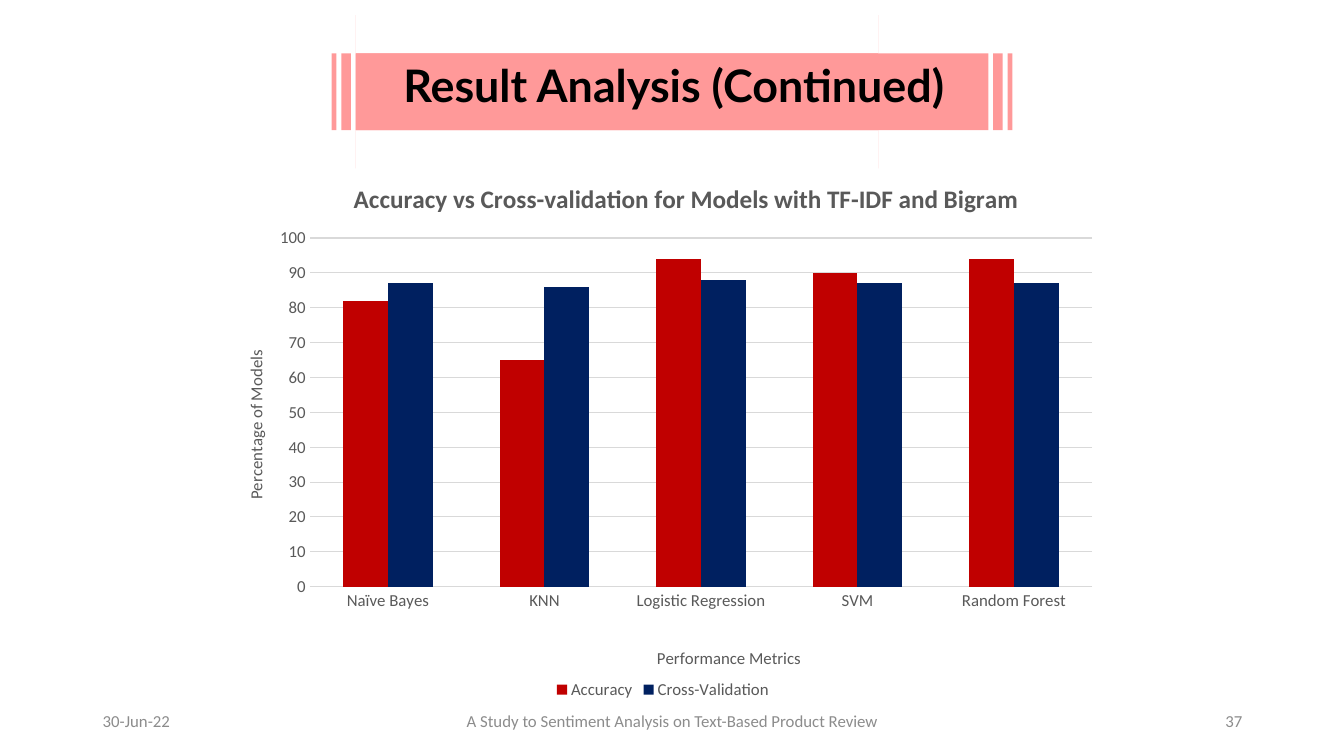
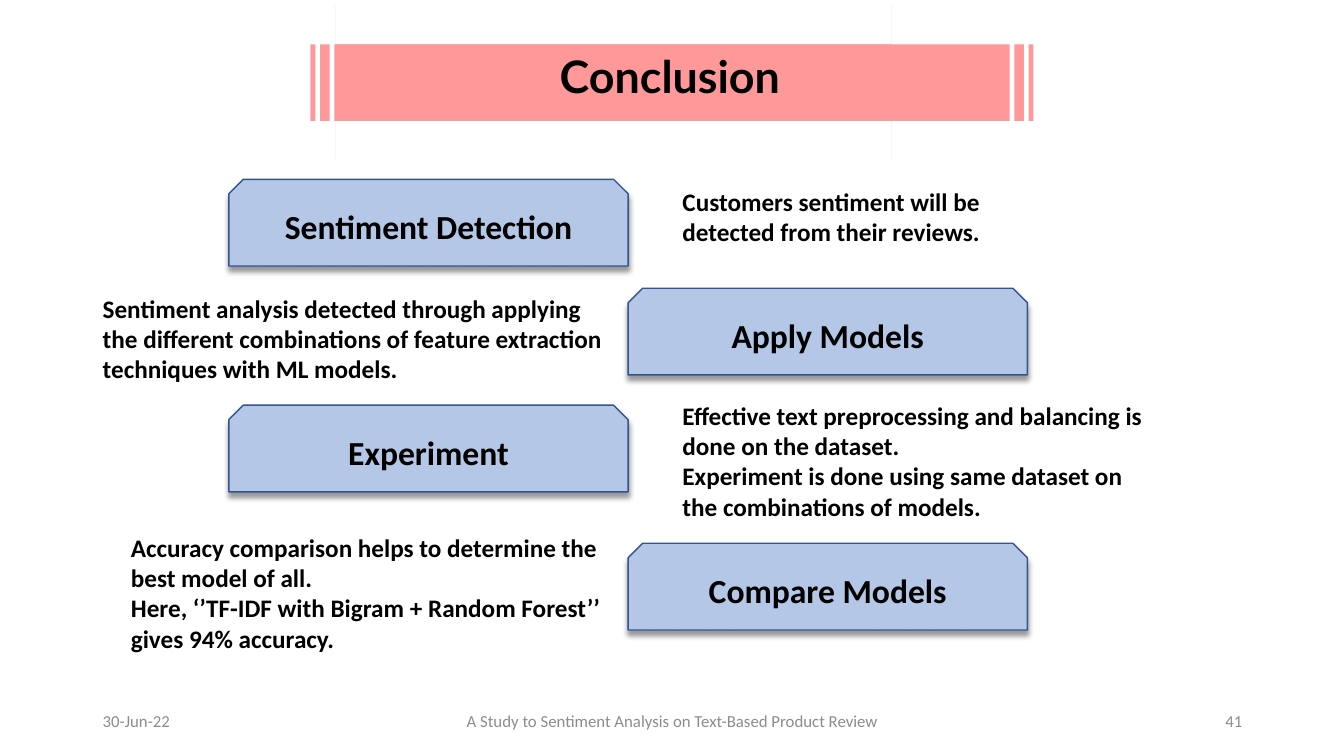
from lxml import etree
from pptx import Presentation
from pptx.chart.data import CategoryChartData
from pptx.dml.color import RGBColor
from pptx.enum.chart import XL_CHART_TYPE as ChartType, XL_LEGEND_POSITION as LegendPosition, XL_TICK_MARK as TickMark
from pptx.enum.shapes import MSO_SHAPE as Preset
from pptx.enum.text import MSO_ANCHOR as Anchor, MSO_AUTO_SIZE as AutoSize, PP_ALIGN as Align
from pptx.oxml import parse_xml
from pptx.oxml.ns import nsdecls, qn
from pptx.util import Inches, Pt

COLORS = {"black": "000000", "banner": "FF9999", "footer": "8C8C8C", "chart": "595959",
          "grid": "D9D9D9", "box": "B4C7E7", "border": "325491"}

STYLES = {
    "title": {"size": Pt(32), "name": "Lato", "bold": True},
    "box": {"size": Pt(24), "name": "Calibri", "bold": True},
    "note": {"size": Pt(18), "name": "Calibri", "bold": True},
    "footer": {"size": Pt(12), "name": "Calibri", "bold": False},
    "chart title": {"size": Pt(18), "name": "Calibri", "bold": True},
}

FOOTER_DATE = "30-Jun-22"
FOOTER_TEXT = "A Study to Sentiment Analysis on Text-Based Product Review"

RESULT = {"title": "Result Analysis (Continued)", "number": "37", "top": 0.15,
          "arrows": [(3.29, 5.42, 0), (3.53, 6.51, 180)], "text": (3.62, 6.13)}
CONCLUSION = {"title": "Conclusion", "number": "41", "top": 0.06,
              "arrows": [(3.08, 5.76, 0), (3.33, 6.92, 180)], "text": (4.37, 4.55)}

CHART_TITLE = "Accuracy vs Cross-validation for Models with TF-IDF and Bigram"
MODELS = ["Naïve Bayes", "KNN", "Logistic Regression", "SVM", "Random Forest"]
SERIES = [("Accuracy", "C00000", [82, 65, 94, 90, 94]),
          ("Cross-Validation", "002060", [87, 86, 88, 87, 87])]

BOX_LEFT, BOX_WIDTH, BOX_HEIGHT = 2.27, 3.96, 0.86
FINDINGS = [
    ("Sentiment Detection", 0, 1.78, (6.67, 1.8, 3.58, 0.71),
     ["Customers sentiment will be detected from their reviews."]),
    ("Apply Models", 1, 2.86, (0.92, 2.86, 5.21, 1.01),
     ["Sentiment analysis detected through applying the different combinations of "
      "feature extraction techniques with ML models."]),
    ("Experiment", 0, 4.02, (6.67, 3.92, 4.79, 1.31),
     ["Effective text preprocessing and balancing is done on the dataset.",
      "Experiment is done using same dataset on the combinations of models."]),
    ("Compare Models", 1, 5.39, (1.2, 5.23, 4.93, 1.31),
     ["Accuracy comparison helps to determine the best model of all.",
      "Here, ‘’TF-IDF with Bigram + Random Forest’’ gives 94% accuracy."]),
]


def color(value):
    return RGBColor.from_string(COLORS.get(value, value))


def inches(*lengths):
    return [Inches(length) for length in lengths]


def set_font(font, style, tint):
    for name, value in STYLES[style].items():
        setattr(font, name, value)
    font.color.rgb = color(tint)


def write_text(shape, lines, style, tint="black", align=Align.LEFT, anchor=Anchor.TOP):
    frame = shape.text_frame
    frame.text = "\n".join(lines)
    for name, value in {"word_wrap": True, "auto_size": AutoSize.NONE,
                        "vertical_anchor": anchor}.items():
        setattr(frame, name, value)
    for paragraph in frame.paragraphs:
        paragraph.alignment = align
        set_font(paragraph.font, style, tint)


def add_text(slide, place, lines, style, **options):
    write_text(slide.shapes.add_textbox(*inches(*place)), lines, style, **options)


def add_filled(slide, preset, place, fill):
    shape = slide.shapes.add_shape(preset, *inches(*place))
    shape.shadow.inherit = False
    shape.fill.solid()
    shape.fill.fore_color.rgb = color(fill)
    return shape


def add_framed_slide(presentation, page):
    slide = presentation.slides.add_slide(presentation.slide_layouts[5])
    for left, width, rotation in page["arrows"]:
        arrow = add_filled(slide, Preset.STRIPED_RIGHT_ARROW, (left, page["top"], width, 1.52), "banner")
        arrow.adjustments[0], arrow.adjustments[1] = 0.5, 0
        arrow.rotation = rotation
        arrow.line.fill.background()
    title = slide.shapes.title
    left, width = page["text"]
    title.left, title.top, title.width, title.height = inches(left, page["top"] + 0.37, width, 0.64)
    write_text(title, [page["title"]], "title", align=Align.CENTER)
    title.element.getparent().append(title.element)
    for left, width, text, align in [(0.92, 3, FOOTER_DATE, Align.LEFT),
                                     (4.42, 4.5, FOOTER_TEXT, Align.CENTER),
                                     (9.42, 3, page["number"], Align.RIGHT)]:
        add_text(slide, (left, 6.95, width, 0.4), [text], "footer",
                 tint="footer", align=align, anchor=Anchor.MIDDLE)
    return slide


def place_chart_part(element, **shares):
    old = element.find(qn("c:layout"))
    if old is not None:
        element.remove(old)
    layout = parse_xml(f"<c:layout {nsdecls('c')}><c:manualLayout/></c:layout>")
    settings = {"xMode": "edge", "yMode": "edge", **shares}
    if "w" in shares:
        settings = {"layoutTarget": "inner", **settings}
    for name, value in settings.items():
        etree.SubElement(layout[0], qn(f"c:{name}")).set("val", str(value))
    element.insert(0 if element.find(qn("c:tx")) is None else 1, layout)


def write_chart_title(title, text, style, x, y):
    title.text_frame.text = text
    set_font(title.text_frame.paragraphs[0].font, style, "chart")
    place_chart_part(title.element, x=x, y=y)


def add_result_chart(slide):
    data = CategoryChartData()
    data.categories = MODELS
    for name, _, values in SERIES:
        data.add_series(name, values)
    chart = slide.shapes.add_chart(ChartType.COLUMN_CLUSTERED, *inches(2.13, 1.54, 8.89, 5.44), data).chart
    set_font(chart.font, "footer", "chart")
    chart.has_title = True
    write_chart_title(chart.chart_title, CHART_TITLE, "chart title", 0.15, 0.04)
    chart.has_legend = True
    chart.legend.position = LegendPosition.BOTTOM
    chart.legend.include_in_layout = False
    set_font(chart.legend.font, "footer", "chart")
    plot = chart.plots[0]
    plot.gap_width, plot.overlap, plot.vary_by_categories = 150, 0, False
    for series, (_, fill, _) in zip(plot.series, SERIES):
        series.format.fill.solid()
        series.format.fill.fore_color.rgb = color(fill)
    for axis, text, x, y in [(chart.category_axis, "Performance Metrics", 0.49, 0.89),
                             (chart.value_axis, "Percentage of Models", 0.03, 0.35)]:
        axis.major_tick_mark = axis.minor_tick_mark = TickMark.NONE
        set_font(axis.tick_labels.font, "footer", "chart")
        write_chart_title(axis.axis_title, text, "footer", x, y)
    chart.category_axis.format.line.color.rgb = color("grid")
    chart.category_axis.format.line.width = Pt(1)
    values = chart.value_axis
    values.minimum_scale, values.maximum_scale, values.major_unit = 0, 100, 10
    values.format.line.fill.background()
    values.major_gridlines.format.line.color.rgb = color("grid")
    values.major_gridlines.format.line.width = Pt(0.75)
    body = values.axis_title.element.find(f".//{qn('a:bodyPr')}")
    body.set("rot", "-5400000")
    body.set("vert", "horz")
    place_chart_part(chart.element.find(f".//{qn('c:plotArea')}"), x=0.106, y=0.151, w=0.873, h=0.636)


def add_shadow(shape):
    properties = shape.element.spPr
    properties.remove(properties.find(qn("a:effectLst")))
    properties.append(parse_xml(
        f'<a:effectLst {nsdecls("a")}><a:outerShdw blurRad="{Pt(4)}" dist="{Pt(3)}" dir="5400000" '
        f'algn="t" rotWithShape="0"><a:srgbClr val="{COLORS["black"]}"><a:alpha val="40000"/>'
        '</a:srgbClr></a:outerShdw></a:effectLst>'))


def add_findings(slide):
    for heading, column, top, note_place, note in FINDINGS:
        place = (BOX_LEFT + column * BOX_WIDTH, top, BOX_WIDTH, BOX_HEIGHT)
        box = add_filled(slide, Preset.SNIP_2_SAME_RECTANGLE, place, "box")
        box.line.color.rgb = color("border")
        box.line.width = Pt(1)
        add_shadow(box)
        write_text(box, [heading], "box", align=Align.CENTER, anchor=Anchor.MIDDLE)
        add_text(slide, note_place, note, "note")


def main():
    presentation = Presentation()
    presentation.slide_width, presentation.slide_height = inches(13.33, 7.5)
    add_result_chart(add_framed_slide(presentation, RESULT))
    add_findings(add_framed_slide(presentation, CONCLUSION))
    presentation.save("out.pptx")


if __name__ == "__main__":
    main()
